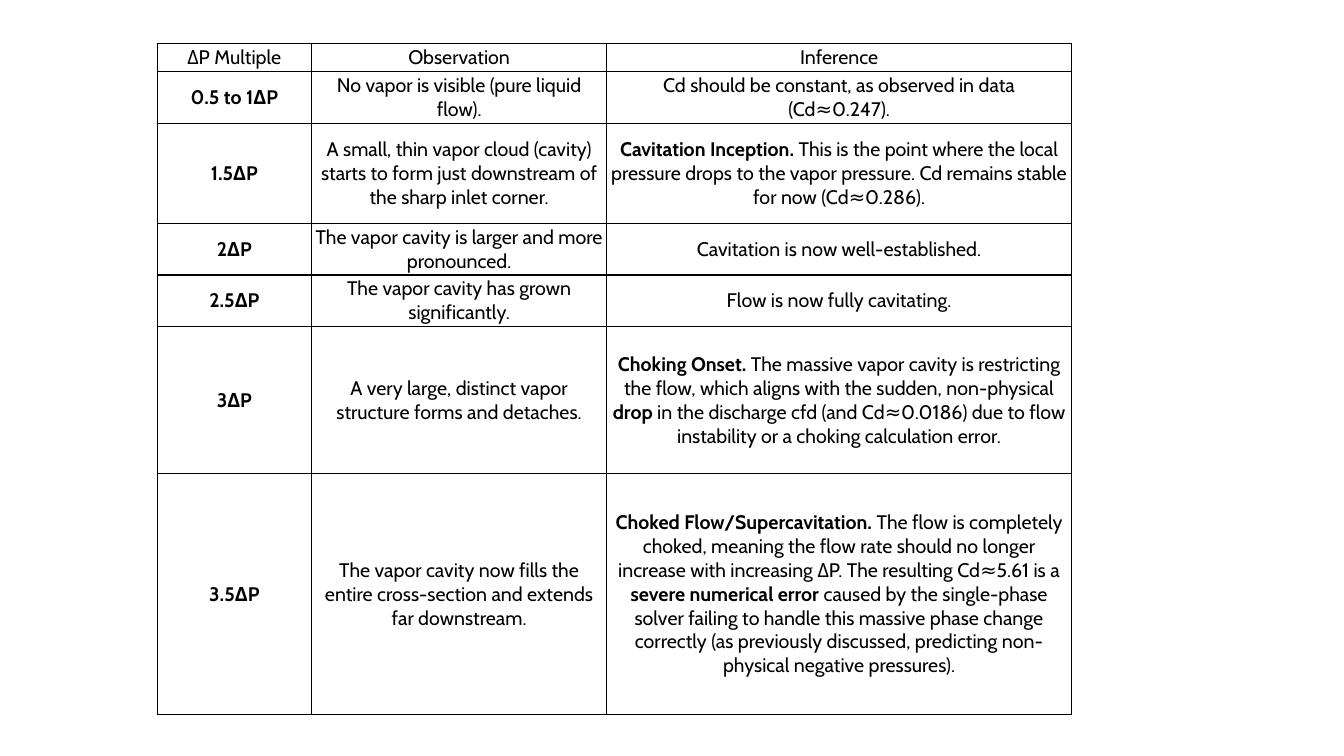
import lxml.etree
import pptx
import pptx.dml.color
import pptx.enum.text
import pptx.oxml.ns
import pptx.util

Pt = pptx.util.Pt

COLUMN_WIDTHS = [110.2, 211, 331.9]
ROW_HEIGHTS = [15.1, 37.4, 71.3, 25.9, 25.9, 105.1, 172.1]
OBSERVATIONS = [
    ["ΔP Multiple", "Observation", "Inference"],
    ["**0.5 to 1ΔP**", "No vapor is visible (pure liquid flow).",
     "Cd should be constant, as observed in data (Cd≈0.247)."],
    ["**1.5ΔP**",
     "A small, thin vapor cloud (cavity) starts to form just downstream of the sharp inlet corner.",
     "**Cavitation Inception.** This is the point where the local pressure drops to the vapor "
     "pressure. Cd remains stable for now (Cd≈0.286)."],
    ["**2ΔP**", "The vapor cavity is larger and more pronounced.",
     "Cavitation is now well-established."],
    ["**2.5ΔP**", "The vapor cavity has grown significantly.",
     "Flow is now fully cavitating."],
    ["**3ΔP**", "A very large, distinct vapor structure forms and detaches.",
     "**Choking Onset.** The massive vapor cavity is restricting the flow, which aligns with the "
     "sudden, non-physical **drop** in the discharge cfd (and Cd≈0.0186) due to flow instability "
     "or a choking calculation error."],
    ["**3.5ΔP**",
     "The vapor cavity now fills the entire cross-section and extends far downstream.",
     "**Choked Flow/Supercavitation.** The flow is completely choked, meaning the flow rate should "
     "no longer increase with increasing ΔP. The resulting Cd≈5.61 is a **severe numerical error** "
     "caused by the single-phase solver failing to handle this massive phase change correctly "
     "(as previously discussed, predicting non-physical negative pressures)."],
]


def rgb(value):
    return pptx.dml.color.RGBColor.from_string(value)


class SlideBuilder:
    """Draws elements on one slide in a shared style."""

    font, size, ink, rule_width = "Cabin", 14, "000000", 1

    def __init__(self, slide):
        self.slide = slide

    def table(self, left, top, height, widths, heights, rows):
        frame = self.slide.shapes.add_table(
            len(rows), len(widths), Pt(left), Pt(top), Pt(sum(widths)), Pt(height))
        grid = frame.table
        grid.first_row = grid.horz_banding = False
        for column, width in zip(grid.columns, widths):
            column.width = Pt(width)
        for row, row_height, texts in zip(grid.rows, heights, rows):
            row.height = Pt(row_height)
            for cell, text in zip(row.cells, texts):
                self.cell(cell, text)
        frame.height = Pt(height)

    def cell(self, cell, text):
        cell.fill.background()
        cell.vertical_anchor = pptx.enum.text.MSO_ANCHOR.MIDDLE
        cell.margin_left = cell.margin_right = Pt(2.9)
        cell.margin_top = cell.margin_bottom = Pt(1.4)
        self.borders(cell)
        paragraph = cell.text_frame.paragraphs[0]
        paragraph.alignment = pptx.enum.text.PP_ALIGN.CENTER
        paragraph.font.name = self.font
        paragraph.font.size = Pt(self.size)
        paragraph.font.color.rgb = rgb(self.ink)
        parts = [(part, i % 2 == 1) for i, part in enumerate(text.split("**")) if part]
        if len(parts) == 1:
            paragraph.font.bold = parts[0][1]
        for part, bold in parts:
            run = paragraph.add_run()
            run.text = part
            if len(parts) > 1:
                run.font.bold = bold

    def borders(self, cell):
        qn = pptx.oxml.ns.qn
        properties = cell._tc.get_or_add_tcPr()
        for position, side in enumerate("LRTB"):
            line = lxml.etree.Element(qn(f"a:ln{side}"), w=str(Pt(self.rule_width)))
            fill = lxml.etree.SubElement(line, qn("a:solidFill"))
            lxml.etree.SubElement(fill, qn("a:srgbClr"), val=self.ink)
            properties.insert(position, line)


def main():
    deck = pptx.Presentation()
    deck.slide_width, deck.slide_height = Pt(960), Pt(540)
    builder = SlideBuilder(deck.slides.add_slide(deck.slide_layouts[6]))
    builder.table(112.3, 31, 478.1, COLUMN_WIDTHS, ROW_HEIGHTS, OBSERVATIONS)
    deck.save("out.pptx")


if __name__ == "__main__":
    main()
